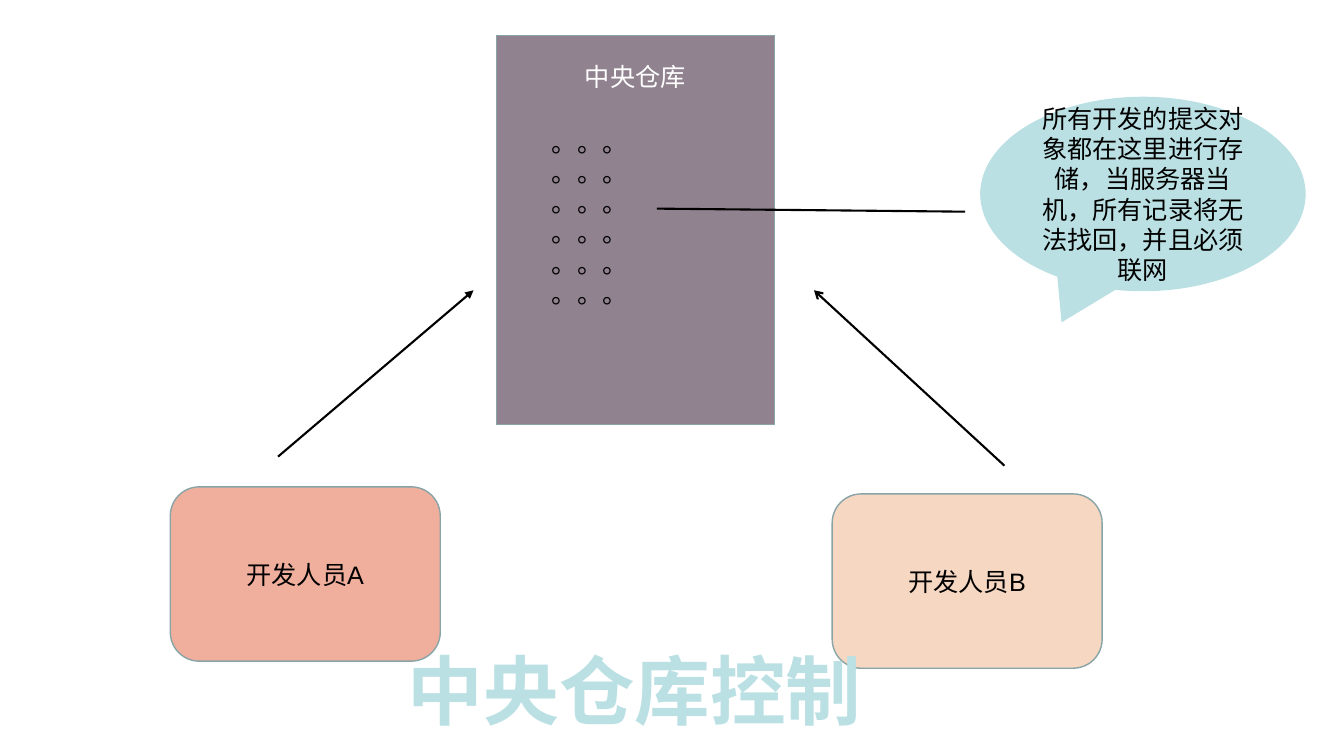
from pptx import Presentation
from pptx.dml.color import RGBColor
from pptx.enum.shapes import MSO_CONNECTOR, MSO_SHAPE
from pptx.enum.text import MSO_ANCHOR, PP_ALIGN
from pptx.oxml.ns import qn
from pptx.util import Inches, Pt
from lxml import etree

PROCESS = MSO_SHAPE.FLOWCHART_PROCESS
ALTERNATE = MSO_SHAPE.FLOWCHART_ALTERNATE_PROCESS
CALLOUT = MSO_SHAPE.OVAL_CALLOUT
STRAIGHT = MSO_CONNECTOR.STRAIGHT
LEFT, CENTER = PP_ALIGN.LEFT, PP_ALIGN.CENTER
TOP, MIDDLE = MSO_ANCHOR.TOP, MSO_ANCHOR.MIDDLE

BLACK, WHITE = "000000", "FFFFFF"
PALE_BLUE, OUTLINE = "BBE0E3", "89A4A7"
DOT_ROWS = 6


def rgb(value):
    return RGBColor.from_string(value)


def write(shape, lines, color=BLACK, align=CENTER, anchor=TOP, size=18, bold=False):
    frame = shape.text_frame
    frame.word_wrap = True
    frame.vertical_anchor = anchor
    frame.text = "\n".join(lines)
    font_format = {"name": "Arial", "size": Pt(size), "bold": bold}
    for paragraph in frame.paragraphs:
        paragraph.alignment = align
        # Keep punctuation inside the text area
        paragraph._p.get_or_add_pPr().set("hangingPunct", "0")
        for run in paragraph.runs:
            for attribute, value in font_format.items():
                setattr(run.font, attribute, value)
            run.font.color.rgb = rgb(color)


def add_label(slide, box, lines, **text_format):
    label = slide.shapes.add_textbox(*map(Inches, box))
    write(label, lines, **text_format)


def add_block(slide, kind, box, fill, outline=None, text=None):
    block = slide.shapes.add_shape(kind, *map(Inches, box))
    block.shadow.inherit = False
    block.fill.solid()
    block.fill.fore_color.rgb = rgb(fill)
    if outline:
        block.line.color.rgb = rgb(outline)
        block.line.width = Pt(1)
    else:
        block.line.fill.background()
    if text:
        write(block, [text], anchor=MIDDLE)
    return block


def add_line(slide, start, end, head=None):
    line = slide.shapes.add_connector(STRAIGHT, *map(Inches, start + end))
    line.line.color.rgb = rgb(BLACK)
    line.line.width = Pt(1.5)
    if head:
        etree.SubElement(line.line._get_or_add_ln(), qn("a:tailEnd"), type=head)
    etree.SubElement(line._element.spPr, qn("a:effectLst"))


def main():
    prs = Presentation()
    prs.slide_width, prs.slide_height = Inches(13.34), Inches(7.5)
    slide = prs.slides.add_slide(prs.slide_layouts[6])

    # Central repository
    add_block(slide, PROCESS, (4.93, 0.35, 2.76, 3.86), "90828F", OUTLINE)
    add_label(slide, (5.36, 0.56, 1.89, 0.4), ["中央仓库"], color=WHITE)

    # Developers
    for left, top, fill, developer in (
        (1.69, 4.83, "F0AF9D", "开发人员A"),
        (8.26, 4.9, "F6D7C2", "开发人员B"),
    ):
        add_block(slide, ALTERNATE, (left, top, 2.68, 1.73), fill, OUTLINE, developer)

    # Stored commits
    add_label(slide, (5.38, 1.21, 1.84, 1.9), ["。。。"] * DOT_ROWS, align=LEFT)

    # Remark on the repository
    add_line(slide, (6.52, 2.07), (9.58, 2.1))
    remark = add_block(
        slide, CALLOUT, (9.73, 0.96, 3.23, 1.93), PALE_BLUE,
        text="所有开发的提交对象都在这里进行存储，当服务器当机，所有记录将无法找回，并且必须联网",
    )
    remark.adjustments[0], remark.adjustments[1] = -0.25, 0.66

    # Commits from the developers
    add_line(slide, (2.76, 4.53), (4.7, 2.88), "triangle")
    add_line(slide, (9.97, 4.62), (8.08, 2.88), "arrow")

    # Title
    add_label(slide, (3.75, 6.34, 5.1, 1), ["中央仓库控制"],
              color=PALE_BLUE, size=54, bold=True)

    prs.save("out.pptx")


if __name__ == "__main__":
    main()
